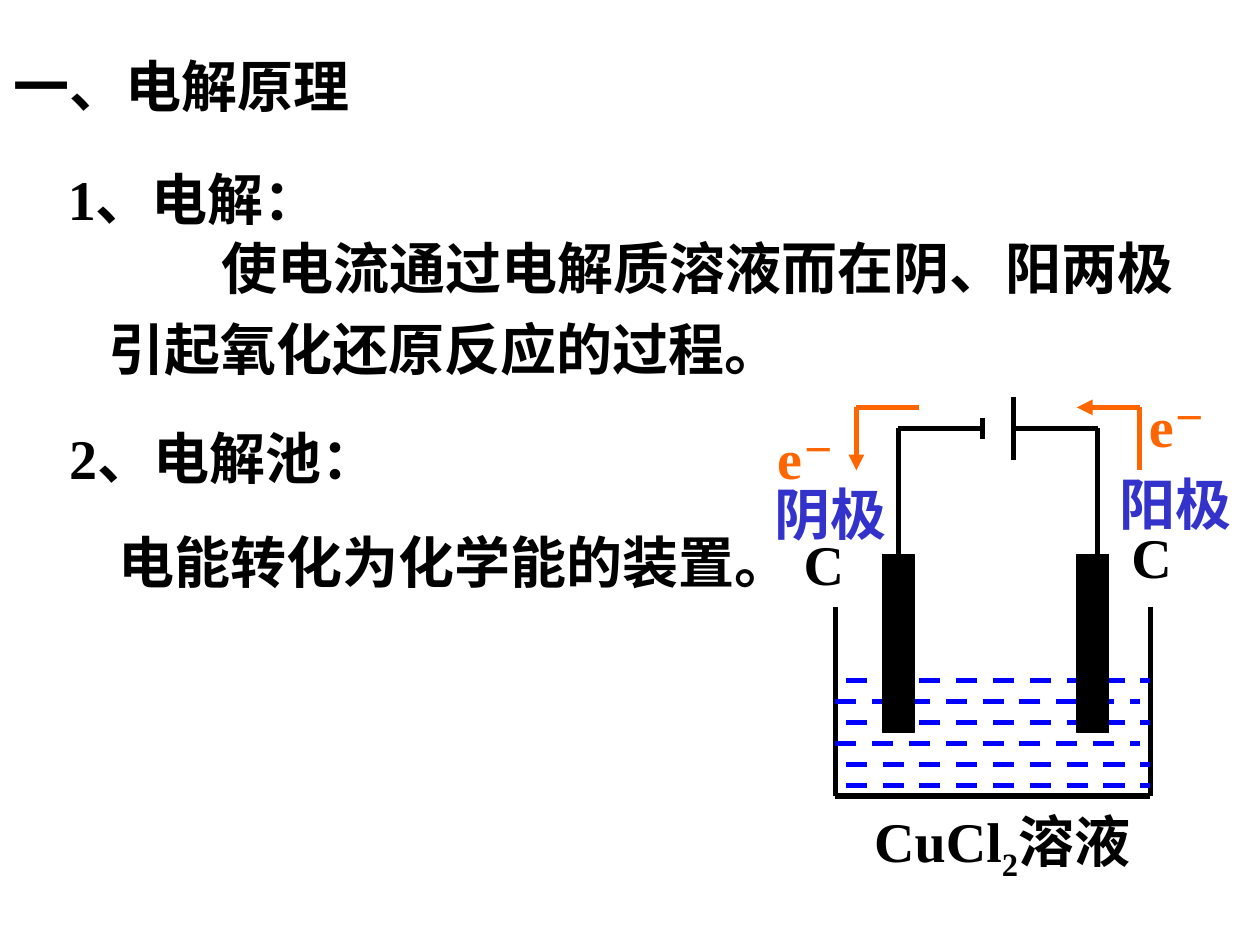
"""Build the slide on electrolysis with its cell diagram."""
from dataclasses import dataclass

from lxml import etree
from pptx import Presentation
from pptx.dml.color import RGBColor
from pptx.enum.dml import MSO_LINE
from pptx.enum.shapes import MSO_CONNECTOR, MSO_SHAPE
from pptx.enum.text import MSO_AUTO_SIZE
from pptx.oxml.ns import qn
from pptx.shapes.autoshape import Shape
from pptx.shapes.connector import Connector
from pptx.util import Inches, Pt

DASH = MSO_LINE.DASH
STRAIGHT = MSO_CONNECTOR.STRAIGHT
RECT = MSO_SHAPE.RECTANGLE
GROW = MSO_AUTO_SIZE.SHAPE_TO_FIT_TEXT


@dataclass(frozen=True)
class Theme:
    """Colours, type and line sizes."""
    ink: str = "000000"
    pole: str = "3333CC"
    flow: str = "FF6600"
    water: str = "0000FF"
    font: str = "Times New Roman"
    size: float = 32
    wire: float = 3
    edge: float = 0.75


@dataclass(frozen=True)
class Grid:
    """Square cells counted from a corner, all in inches."""
    left: float
    top: float
    cell: float

    def x(self, col: float) -> int:
        """Return the place of a column."""
        return Inches(self.left + col * self.cell)

    def y(self, row: float) -> int:
        """Return the place of a row."""
        return Inches(self.top + row * self.cell)

    def span(self, count: float) -> int:
        """Return the length of a count of cells."""
        return Inches(count * self.cell)


THEME = Theme()
PAGE = Grid(0, 0, 0.1)
CELL = Grid(6.63, 3.15, 1 / 12)


@dataclass(frozen=True)
class Label:
    """Text on the page grid; each run is a text and a baseline shift."""
    col: float
    row: float
    wide: float
    lines: tuple[tuple[tuple[str, int], ...], ...]
    color: str = THEME.ink
    high: float = 6.4
    space: float = 1
    indent: float = 0


@dataclass(frozen=True)
class Wire:
    """A straight line on the cell grid."""
    col: float
    row: float
    end_col: float
    end_row: float
    color: str = THEME.ink
    dash: bool = False
    arrow: bool = False


def plain(text: str) -> tuple[tuple[str, int], ...]:
    """Return a line of one unshifted run."""
    return ((text, 0),)


ELECTRON = ((("e", 0), ("－", 30000)),)
LABELS = (
    Label(0.1, 3.6, 28.7, (plain("一、电解原理"),)),
    Label(4.4, 12.6, 23.1, (plain("1、电解："),)),
    Label(7.6, 17, 88, (plain("使电流通过电解质溶液而在阴、阳两极"),
                        plain("引起氧化还原反应的过程。")),
          high=13.8, space=1.2, indent=9),
    Label(4.5, 33.1, 27.5, (plain("2、电解池："),)),
    Label(8.4, 41.4, 55.4, (plain("电能转化为化学能的装置。"),)),
    Label(60.7, 33.1, 7.6, ELECTRON, THEME.flow),
    Label(90.2, 30.6, 7.6, ELECTRON, THEME.flow),
    Label(62.8, 41.5, 5.2, (plain("C"),)),
    Label(88.8, 41, 5.2, (plain("C"),)),
    Label(68.4, 63.5, 23.4, ((("CuCl", 0), ("2", -25000), ("溶液", 0)),),
          high=7.1),
    Label(60.5, 37.6, 10.9, (plain("阴极"),), THEME.pole),
    Label(87.9, 36.8, 10.9, (plain("阳极"),), THEME.pole),
)
FLOWS = (
    Wire(8, 1, 2, 1, THEME.flow),
    Wire(2, 1, 2, 7, THEME.flow, arrow=True),
    Wire(29, 7, 29, 1, THEME.flow),
    Wire(29, 1, 23, 1, THEME.flow, arrow=True),
)
TANK = (Wire(0, 20, 0, 38), Wire(30, 20, 30, 38), Wire(0, 38, 30, 38))
SHIFTS = (1, 0, 1, 0, 1, 1)
WATER = tuple(
    Wire(shift, 27 + 2 * step, 29 + shift, 27 + 2 * step, THEME.water, True)
    for step, shift in enumerate(SHIFTS)
)
CIRCUIT = (
    Wire(25, 3, 25, 15),
    Wire(6, 3, 14, 3),
    Wire(17, 3, 25, 3),
    Wire(14, 2, 14, 4),
    Wire(17, 0, 17, 6),
)


def draw_label(shapes, label: Label) -> None:
    """Draw one label."""
    box = shapes.add_textbox(PAGE.x(label.col), PAGE.y(label.row),
                             PAGE.span(label.wide), PAGE.span(label.high))
    frame = box.text_frame
    frame.word_wrap = False
    frame.auto_size = GROW
    for index, line in enumerate(label.lines):
        para = frame.add_paragraph() if index else frame.paragraphs[0]
        para.line_spacing = label.space
        if label.indent and not index:
            props = para._p.get_or_add_pPr()
            props.set("marL", "0")
            props.set("indent", str(PAGE.span(label.indent)))
        for text, shift in line:
            run = para.add_run()
            run.text = text
            font = run.font
            font.name, font.size, font.bold = THEME.font, Pt(THEME.size), True
            font.color.rgb = RGBColor.from_string(label.color)
            if shift:
                run._r.get_or_add_rPr().set("baseline", str(shift))


def draw_wire(shapes, wire: Wire) -> Connector:
    """Draw one line and return it."""
    link = shapes.add_connector(STRAIGHT, CELL.x(wire.col), CELL.y(wire.row),
                                CELL.x(wire.end_col), CELL.y(wire.end_row))
    link.line.width = Pt(THEME.wire)
    link.line.color.rgb = RGBColor.from_string(wire.color)
    if wire.dash:
        link.line.dash_style = DASH
    if wire.arrow:
        tail = etree.SubElement(link.line._get_or_add_ln(), qn("a:tailEnd"))
        tail.set("type", "triangle")
    etree.SubElement(link._element.spPr, qn("a:effectLst"))
    return link


def draw_rod(shapes, col: float) -> Shape:
    """Draw one carbon rod and return it."""
    rod = shapes.add_shape(RECT, CELL.x(col), CELL.y(15),
                           CELL.span(3), CELL.span(17))
    rod.shadow.inherit = False
    rod.fill.solid()
    rod.fill.fore_color.rgb = RGBColor.from_string(THEME.ink)
    rod.line.color.rgb = RGBColor.from_string(THEME.ink)
    rod.line.width = Pt(THEME.edge)
    return rod


def main() -> None:
    """Build and save the slide."""
    deck = Presentation()
    deck.slide_width, deck.slide_height = PAGE.span(100), PAGE.span(75)
    shapes = deck.slides.add_slide(deck.slide_layouts[6]).shapes
    for wire in FLOWS + TANK + WATER:
        draw_wire(shapes, wire)
    rod = draw_rod(shapes, 4.5)
    draw_rod(shapes, 23)
    draw_wire(shapes, Wire(6, 3, 6, 15)).end_connect(rod, 0)
    for wire in CIRCUIT:
        draw_wire(shapes, wire)
    for label in LABELS:
        draw_label(shapes, label)
    deck.save("out.pptx")


if __name__ == "__main__":
    main()
